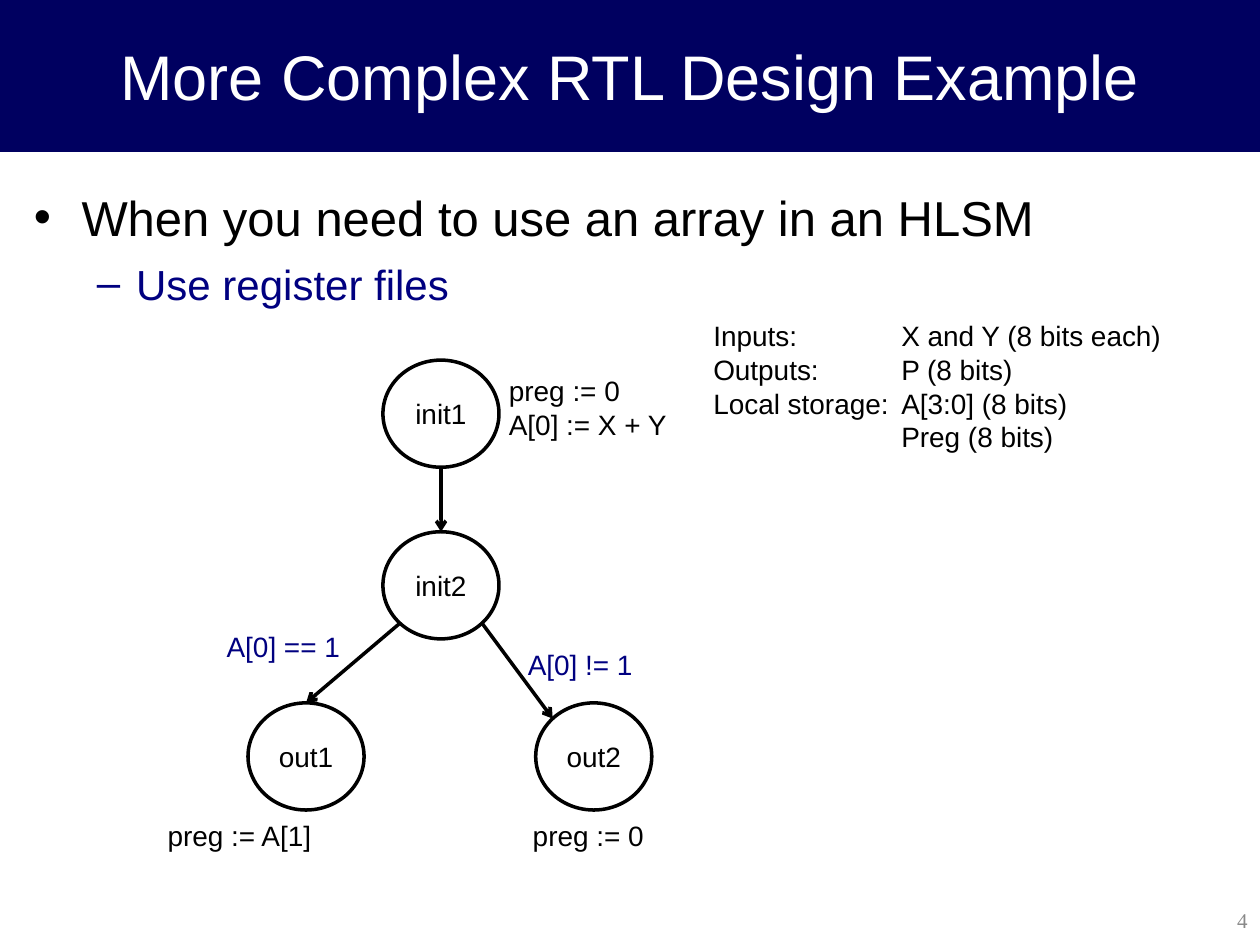
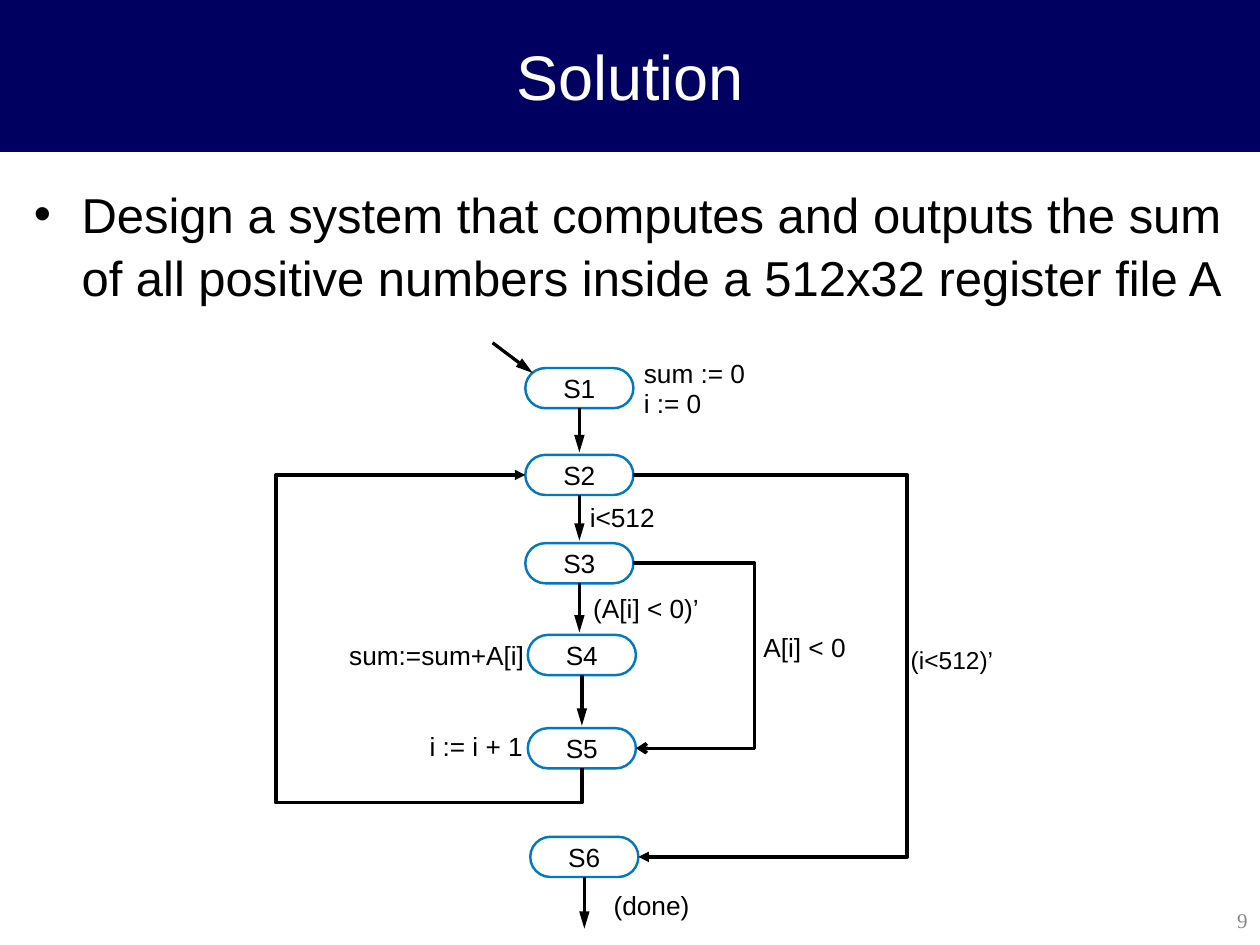
import math
import lxml.etree
import pptx
import pptx.dml.color
import pptx.enum.shapes
import pptx.enum.text
import pptx.oxml.ns
import pptx.util

Cm, Pt = pptx.util.Cm, pptx.util.Pt
qn = pptx.oxml.ns.qn
SHAPE = pptx.enum.shapes.MSO_SHAPE
CONNECTOR = pptx.enum.shapes.MSO_CONNECTOR
ANCHOR = pptx.enum.text.MSO_ANCHOR
ALIGN = pptx.enum.text.PP_ALIGN
AUTOSIZE = pptx.enum.text.MSO_AUTO_SIZE

BLACK = pptx.dml.color.RGBColor(0x00, 0x00, 0x00)
WHITE = pptx.dml.color.RGBColor(0xFF, 0xFF, 0xFF)
BAND = pptx.dml.color.RGBColor(0x00, 0x00, 0x60)
NAVY = pptx.dml.color.RGBColor(0x00, 0x00, 0x80)
BLUE = pptx.dml.color.RGBColor(0x00, 0x79, 0xC1)
GREY = pptx.dml.color.RGBColor(0x89, 0x89, 0x89)

TITLE = {"name": "Arial", "size": Pt(36)}
LABEL = {"name": "Arial", "size": Pt(16)}
SMALL = {"name": "Arial", "size": Pt(15)}
TINY = {"name": "Arial", "size": Pt(14)}
NUMBER = {"name": "Times New Roman", "size": Pt(12)}
NO_INSETS = {"margin_left": 0, "margin_right": 0, "margin_top": 0, "margin_bottom": 0}
# bullet, margin, hanging indent, size, colour, space before
LEVELS = [("•", Cm(0.96), Cm(-0.96), Pt(28), BLACK, 0),
          ("–", Cm(2.06), Cm(-0.79), Pt(24), NAVY, Pt(5))]


def write(tf, lines, fmt, color=BLACK, align=ALIGN.LEFT):
    """Fill a text frame, one paragraph a line, and return its paragraphs."""
    for i, line in enumerate(lines):
        p = tf.paragraphs[0] if i == 0 else tf.add_paragraph()
        p.alignment = align
        r = p.add_run()
        r.text = line
        for name, value in fmt.items():
            setattr(r.font, name, value)
        r.font.color.rgb = color
    return tf.paragraphs


def connect(s, kind, start, end, width, head, length="med", adjust=()):
    """Add a black connector with an arrowhead at its end; points are in cm."""
    cx = s.shapes.add_connector(kind, *(Cm(v) for v in (*start, *end)))
    cx.line.color.rgb = BLACK
    cx.line.width = Pt(width)
    spPr = cx._element.spPr
    lxml.etree.SubElement(spPr.find(qn("a:ln")), qn("a:tailEnd"),
                          type=head, w="med", len=length)
    lxml.etree.SubElement(spPr, qn("a:effectLst"))
    avLst = spPr.find(qn("a:prstGeom")).find(qn("a:avLst"))
    for i, value in enumerate(adjust, 1):
        lxml.etree.SubElement(avLst, qn("a:gd"), name=f"adj{i}",
                              fmla=f"val {round(value * 100000)}")
    return cx


prs = pptx.Presentation()
prs.slide_width, prs.slide_height = Cm(25.4), Cm(19.05)
layout = prs.slide_layouts[1]

# Shared frame: title, list and page number
pages = [
    ("More Complex RTL Design Example", 3.56, "4",
     ["When you need to use an array in an HLSM", "Use register files"]),
    ("Solution", 3.5, "9",
     ["Design a system that computes and outputs the sum of all positive "
      "numbers inside a 512x32 register file A"]),
]
slides = []
for title, body_top, number, items in pages:
    s = prs.slides.add_slide(layout)
    slides.append(s)
    sp, body = s.placeholders
    sp.left, sp.top, sp.width, sp.height = 0, 0, Cm(25.4), Cm(3.05)
    sp.text_frame.vertical_anchor = ANCHOR.MIDDLE
    write(sp.text_frame, [title], TITLE, WHITE, ALIGN.CENTER)

    body.left, body.top = Cm(0.43), Cm(body_top)
    body.width, body.height = Cm(24.54), Cm(14.53)
    tf = body.text_frame
    tf.auto_size = AUTOSIZE.NONE
    for level, (p, style) in enumerate(zip(write(tf, items, {"name": "Arial"}), LEVELS)):
        bullet, margin, indent, size, color, before = style
        p.level = level
        pPr = p._p.get_or_add_pPr()
        pPr.set("marL", str(margin))
        pPr.set("indent", str(indent))
        clr = lxml.etree.SubElement(pPr, qn("a:buClr"))
        lxml.etree.SubElement(clr, qn("a:srgbClr"), val=str(color))
        lxml.etree.SubElement(pPr, qn("a:buFont"), typeface="Arial")
        lxml.etree.SubElement(pPr, qn("a:buChar"), char=bullet)
        p.line_spacing = 1.07
        p.space_before = before
        p.runs[0].font.size = size
        p.runs[0].font.color.rgb = color

    sp = s.shapes.add_textbox(Cm(20.02), Cm(18.03), Cm(5.38), Cm(1.02))
    sp.text_frame.vertical_anchor = ANCHOR.MIDDLE
    write(sp.text_frame, [number], NUMBER, GREY, ALIGN.RIGHT)

# The title band belongs to the layout, behind everything else
band = slides[0].shapes.add_shape(SHAPE.RECTANGLE, 0, 0, Cm(25.4), Cm(3.05))
band.shadow.inherit = False
band.fill.solid()
band.fill.fore_color.rgb = BAND
band.line.color.rgb = BAND
band.line.width = Pt(0.75)
layout.shapes._spTree.insert(2, band._element)

# State nodes of both diagrams: left and top in cm
circles = {"init1": (7.72, 7.26), "init2": (7.72, 10.72),
           "out1": (5, 14.17), "out2": (10.8, 14.17)}
pills = {"S1": (10.59, 7.42), "S2": (10.59, 9.17), "S3": (10.59, 10.95),
         "S4": (10.64, 12.8), "S5": (10.64, 14.68), "S6": (10.69, 16.87)}
CIRCLE_W, CIRCLE_H = 2.34, 2.16
PILL_W, PILL_H = 2.18, 0.81
for s, nodes, kind, w, h, color, weight, fmt in [
        (slides[0], circles, SHAPE.OVAL, CIRCLE_W, CIRCLE_H, BLACK, 2, LABEL),
        (slides[1], pills, SHAPE.ROUNDED_RECTANGLE, PILL_W, PILL_H, BLUE, 1.39, SMALL)]:
    for name, (x, y) in nodes.items():
        sp = s.shapes.add_shape(kind, Cm(x), Cm(y), Cm(w), Cm(h))
        sp.shadow.inherit = False
        sp.fill.background()
        sp.line.color.rgb = color
        sp.line.width = Pt(weight)
        if kind == SHAPE.ROUNDED_RECTANGLE:
            sp.adjustments[0] = 0.5
        tf = sp.text_frame
        tf.word_wrap = False
        tf.vertical_anchor = ANCHOR.MIDDLE
        for side in NO_INSETS:
            setattr(tf, side, 0)
        write(tf, [name], fmt, BLACK, ALIGN.CENTER)

# Labels of both diagrams
first, second = slides
labels = [
    (first, 10.26, 7.54, ["preg := 0", "A[0] := X + Y"], LABEL, BLACK),
    (first, 3.38, 16.51, ["preg := A[1]"], LABEL, BLACK),
    (first, 10.74, 16.51, ["preg := 0"], LABEL, BLACK),
    (first, 4.57, 12.7, ["A[0] == 1"], LABEL, NAVY),
    (first, 10.64, 13.06, ["A[0] != 1"], LABEL, NAVY),
    (first, 14.38, 6.43, ["Inputs:\tX and Y (8 bits each)", "Outputs:\tP (8 bits)",
                          "Local storage:\tA[3:0] (8 bits)", "\tPreg (8 bits)"],
     LABEL, BLACK),
    (second, 12.98, 7.21, ["sum := 0"], SMALL, BLACK),
    (second, 12.98, 7.8, ["i := 0"], SMALL, BLACK),
    (second, 11.89, 10.11, ["i<512"], SMALL, BLACK),
    (second, 11.96, 11.94, ["(A[i] < 0)’"], SMALL, BLACK),
    (second, 7.04, 12.88, ["sum:=sum+A[i]"], SMALL, BLACK),
    (second, 8.66, 14.73, ["i := i + 1"], SMALL, BLACK),
    (second, 15.39, 12.73, ["A[i] < 0"], SMALL, BLACK),
    (second, 18.36, 13, ["(i<512)’"], TINY, BLACK),
    (second, 12.37, 17.93, ["(done)"], SMALL, BLACK),
]
for s, x, y, lines, fmt, color in labels:
    width = 10.31 if "\t" in lines[0] else 3.55
    sp = s.shapes.add_textbox(Cm(x), Cm(y), Cm(width), Cm(0.68 * len(lines)))
    tf = sp.text_frame
    tf.word_wrap = True
    for side, value in NO_INSETS.items():
        setattr(tf, side, value)
    for p in write(tf, lines, fmt, color):
        if "\t" in p.text:
            tabs = lxml.etree.SubElement(p._p.get_or_add_pPr(), qn("a:tabLst"))
            lxml.etree.SubElement(tabs, qn("a:tab"), pos=str(Cm(3.79)), algn="l")

# Arrows between circles, each end at an angle on the rim (clockwise from right)
for source, angle, target, target_angle in [
        ("init1", 90, "init2", -90), ("init2", 135, "out1", -90),
        ("init2", 45, "out2", -135)]:
    ends = []
    for name, degrees in ((source, angle), (target, target_angle)):
        x, y = circles[name]
        a = math.radians(degrees)
        ends.append((x + CIRCLE_W / 2 * (1 + math.cos(a)),
                     y + CIRCLE_H / 2 * (1 + math.sin(a))))
    connect(first, CONNECTOR.STRAIGHT, *ends, 2, "arrow")

# Straight arrows: into S1, down the column, and out of S6
connect(second, CONNECTOR.STRAIGHT, (9.93, 6.91), (10.74, 7.52), 1.87, "triangle", "lg")
for source, end_y in [("S1", pills["S2"][1]), ("S2", pills["S3"][1]),
                      ("S3", pills["S4"][1]), ("S4", pills["S5"][1]), ("S6", 18.77)]:
    x, y = pills[source]
    x += PILL_W / 2
    connect(second, CONNECTOR.STRAIGHT, (x, y + PILL_H), (x, end_y - 0.05),
            1.87, "triangle", "lg")

# Elbows on the right, bending at bend_x
for source, target, bend_x, head in [("S3", "S5", 15.21, "arrow"),
                                     ("S2", "S6", 18.29, "triangle")]:
    (x1, y1), (x2, y2) = ((x + PILL_W, y + PILL_H / 2)
                          for x, y in (pills[source], pills[target]))
    connect(second, CONNECTOR.ELBOW, (x1, y1), (x2, y2), 2, head,
            adjust=[(bend_x - x1) / (x2 - x1)])

# Loop from the bottom of S5 round the left side to S2
LOOP_X, LOOP_Y = 5.56, 16.18
x1, y1 = pills["S5"][0] + PILL_W / 2, pills["S5"][1] + PILL_H
x2, y2 = pills["S2"][0], pills["S2"][1] + PILL_H / 2
rise, run = y1 - y2, x1 - x2
left, top = (x1 + x2 - rise) / 2, (y1 + y2 - run) / 2
cx = connect(second, CONNECTOR.ELBOW, (left, top), (left + rise, top + run), 2,
             "triangle", adjust=[(y1 - LOOP_Y) / rise, (x1 - LOOP_X) / run])
spPr = cx._element.spPr
spPr.find(qn("a:prstGeom")).set("prst", "bentConnector4")
for name, value in {"rot": "16200000", "flipV": "1"}.items():
    spPr.find(qn("a:xfrm")).set(name, value)

prs.save("out.pptx")
